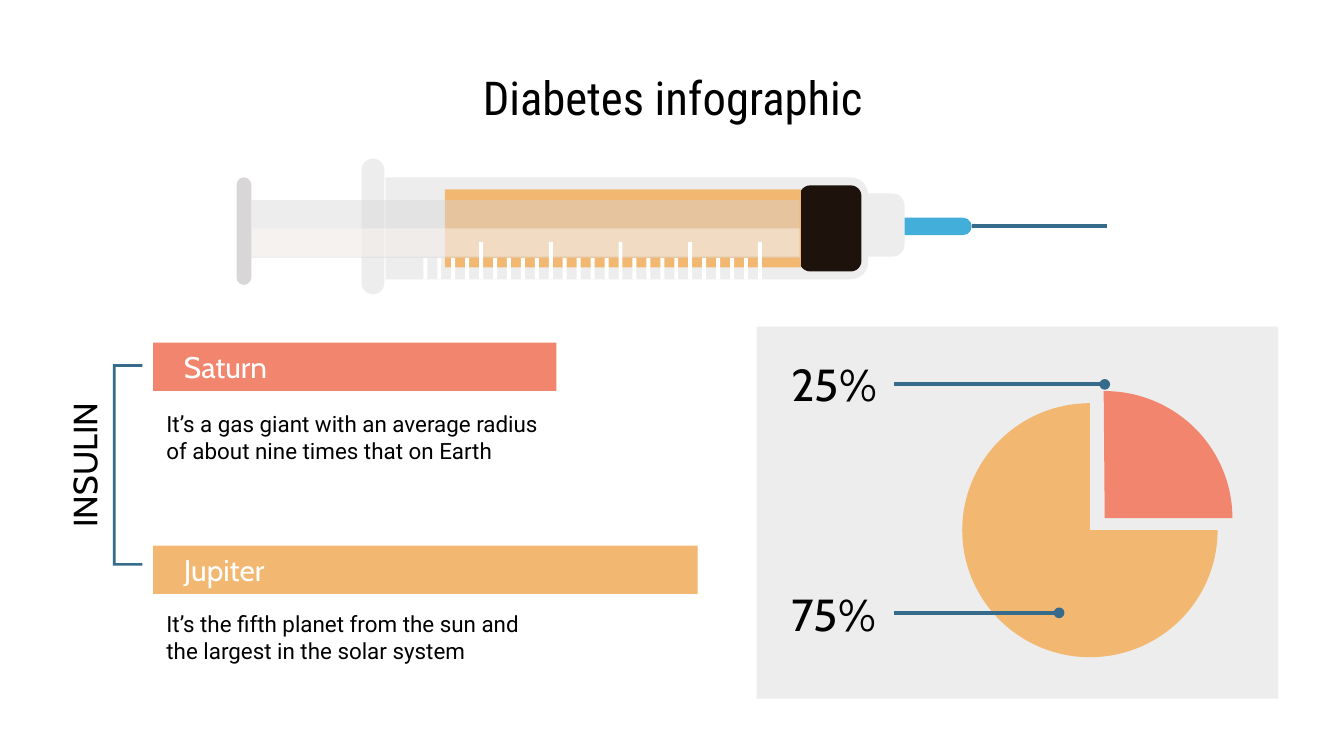
from lxml import etree
from pptx import Presentation
from pptx.dml.color import RGBColor
from pptx.enum.shapes import MSO_CONNECTOR, MSO_SHAPE
from pptx.enum.text import MSO_ANCHOR, PP_ALIGN
from pptx.oxml.ns import qn
from pptx.util import Inches, Pt

BLACK = RGBColor(0x00, 0x00, 0x00)
WHITE = RGBColor(0xFF, 0xFF, 0xFF)
CORAL = RGBColor(0xF2, 0x85, 0x6D)
ORANGE = RGBColor(0xF2, 0xB8, 0x72)
NAVY = RGBColor(0x37, 0x6B, 0x8C)
SKY = RGBColor(0x43, 0xAE, 0xD9)
LIGHT_GRAY = RGBColor(0xED, 0xED, 0xED)
GRAY = RGBColor(0xD8, 0xD6, 0xD6)
CREAM = RGBColor(0xFF, 0xF9, 0xF3)
DARK_BROWN = RGBColor(0x1E, 0x12, 0x0D)


def add_filled(shapes, kind, box, color, adjustments=()):
    shape = shapes.add_shape(kind, *map(Inches, box))
    shape.shadow.inherit = False
    shape.fill.solid()
    shape.fill.fore_color.rgb = color
    shape.line.fill.background()
    for index, value in enumerate(adjustments):
        shape.adjustments[index] = value
    return shape


def write_text(shape, text, font_name, size, color=BLACK, align=PP_ALIGN.LEFT):
    frame = shape.text_frame
    frame_format = {"word_wrap": True, "vertical_anchor": MSO_ANCHOR.MIDDLE}
    for side in ("left", "top", "right", "bottom"):
        frame_format[f"margin_{side}"] = Inches(0.1)
    for name, value in frame_format.items():
        setattr(frame, name, value)
    paragraph = frame.paragraphs[0]
    paragraph.alignment = align
    run = paragraph.add_run()
    run.text = text
    for name, value in {"name": font_name, "size": Pt(size)}.items():
        setattr(run.font, name, value)
    run.font.color.rgb = color


presentation = Presentation()
presentation.slide_width = Inches(10)
presentation.slide_height = Inches(10) * 9 // 16
slide = presentation.slides.add_slide(presentation.slide_layouts[5])

title = slide.shapes.title
title_place = {"left": 0.78, "top": 0.5, "width": 8.45, "height": 0.44}
for name, value in title_place.items():
    setattr(title, name, Inches(value))
write_text(title, "Diabetes infographic", "Roboto Condensed", 25, align=PP_ALIGN.CENTER)

# Syringe: parts rounded on the right only are upright shapes turned by 90 degrees
syringe = slide.shapes.add_group_shape().shapes
for left, top, width, height, color, rounding in (
    (2.87, 1.32, 3.59, 0.76, LIGHT_GRAY, 0.17),  # barrel
    (6.46, 1.44, 0.27, 0.47, LIGHT_GRAY, 0.33),  # tip
    (6.73, 1.62, 0.5, 0.13, SKY, 0.5),  # needle hub
):
    upright = (left + (width - height) / 2, top + (height - width) / 2, height, width)
    part = add_filled(syringe, MSO_SHAPE.ROUND_2_SAME_RECTANGLE, upright, color, [rounding, 0])
    part.rotation = 90

for kind, box, color, rounding, opacity in (
    (MSO_SHAPE.ROUNDED_RECTANGLE, (5.95, 1.38, 0.46, 0.64), DARK_BROWN, [0.17], 100),  # stopper
    (MSO_SHAPE.RECTANGLE, (3.31, 1.41, 2.65, 0.58), ORANGE, [], 100),  # insulin
    (MSO_SHAPE.ROUNDED_RECTANGLE, (2.69, 1.18, 0.17, 1.01), LIGHT_GRAY, [0.5], 100),  # flange
    (MSO_SHAPE.RECTANGLE, (1.87, 1.49, 4.08, 0.43), GRAY, [], 43),  # plunger
    (MSO_SHAPE.RECTANGLE, (1.87, 1.7, 4.08, 0.21), CREAM, [], 45),  # plunger highlight
    (MSO_SHAPE.ROUNDED_RECTANGLE, (1.76, 1.32, 0.11, 0.8), GRAY, [0.5], 100),  # thumb rest
):
    part = add_filled(syringe, kind, box, color, rounding)
    if opacity < 100:
        rgb = part.fill._xPr.find(qn("a:solidFill")).find(qn("a:srgbClr"))
        etree.SubElement(rgb, qn("a:alpha")).set("val", str(opacity * 1000))

for tick in range(25):
    tick_top = 1.8 if tick % 5 == 4 else 1.92
    tick_left = 3.15 + tick * 2.49 / 24
    add_filled(syringe, MSO_SHAPE.RECTANGLE, (tick_left, tick_top, 0.03, 2.08 - tick_top), WHITE)

# Described bars
for name, top, width, color, text_top, description in (
    ("Saturn", 2.55, 3, CORAL, 2.99,
     "It’s a gas giant with an average radius of about nine times that on Earth"),
    ("Jupiter", 4.06, 4.05, ORANGE, 4.48,
     "It’s the fifth planet from the sun and the largest in the solar system"),
):
    add_filled(slide.shapes, MSO_SHAPE.RECTANGLE, (1.14, top, width, 0.36), color)
    name_box = slide.shapes.add_textbox(*map(Inches, (1.27, top, 1.55, 0.36)))
    write_text(name_box, name, "Cabin", 16, WHITE)
    description_box = slide.shapes.add_textbox(*map(Inches, (1.14, text_top, 3, 0.52)))
    write_text(description_box, description, "Roboto", 12)

# Bracket with its label
bracket_points = [(0.84, 2.71), (0.84, 4.21), (1.06, 4.21), (1.06, 4.19),
                  (0.86, 4.19), (0.86, 2.73), (1.06, 2.73), (1.06, 2.71)]
corners = [(Inches(x), Inches(y)) for x, y in bracket_points]
builder = slide.shapes.build_freeform(*corners[0])
builder.add_line_segments(corners[1:], close=True)
bracket = builder.convert_to_shape()
bracket.shadow.inherit = False
bracket.fill.solid()
bracket.fill.fore_color.rgb = NAVY
bracket.line.fill.background()

insulin_box = slide.shapes.add_textbox(*map(Inches, (0.04, 3.25, 1.17, 0.42)))
insulin_box.rotation = 270
write_text(insulin_box, "INSULIN", "Cabin", 18, align=PP_ALIGN.CENTER)

# Pie panel
add_filled(slide.shapes, MSO_SHAPE.RECTANGLE, (5.63, 2.43, 3.88, 2.77), LIGHT_GRAY)
add_filled(slide.shapes, MSO_SHAPE.PIE, (7.16, 3, 1.9, 1.89), ORANGE, [0, 162])
add_filled(slide.shapes, MSO_SHAPE.PIE, (7.27, 2.91, 1.9, 1.89), CORAL, [161.72, 0.01])

for label, top, dot_x, line_y in (("25%", 2.66, 8.22, 2.86), ("75%", 4.37, 7.88, 4.56)):
    label_box = slide.shapes.add_textbox(*map(Inches, (5.79, top, 0.93, 0.39)))
    write_text(label_box, label, "Cabin", 24)
    add_filled(slide.shapes, MSO_SHAPE.OVAL, (dot_x - 0.04, line_y - 0.04, 0.08, 0.08), NAVY)

# Needle and the two leader lines
for shapes, start_x, end_x, y in (
    (syringe, 7.23, 8.24, 1.68),
    (slide.shapes, 6.65, 8.22, 2.86),
    (slide.shapes, 6.65, 7.88, 4.56),
):
    ends = map(Inches, (start_x, y, end_x, y))
    line = shapes.add_connector(MSO_CONNECTOR.STRAIGHT, *ends)
    line.line.width = Pt(2)
    line.line.color.rgb = NAVY
    etree.SubElement(line._element.spPr, qn("a:effectLst"))

presentation.save("out.pptx")
